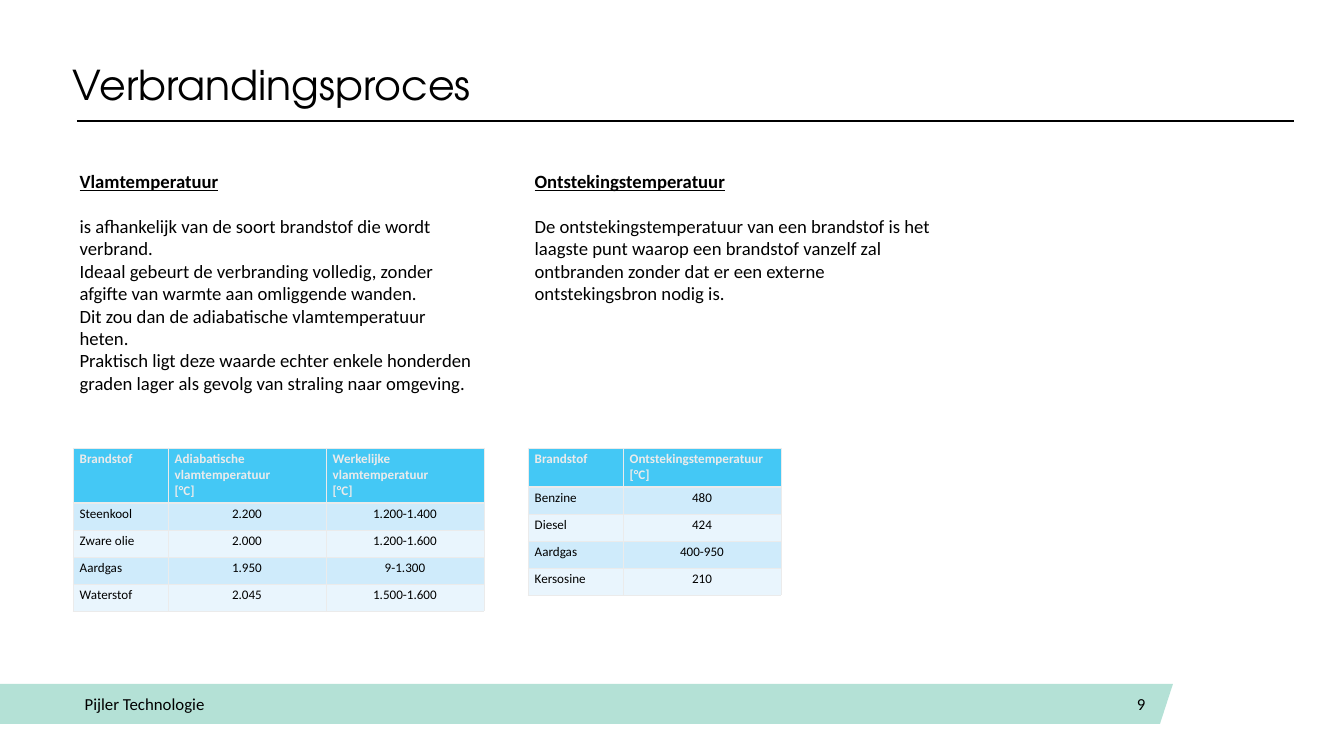
from lxml import etree
from pptx import Presentation
from pptx import util as u
from pptx.dml import color
from pptx.enum import shapes, text
from pptx.oxml import ns

PX = 914400 / 67.2
BLACK, PALE, MINT, BLUE = "000000", "EBEBEB", "B4E1D6", "44C8F5"
BANDS = ["CFEBFB", "E9F5FD"]
LEFT, CENTER, RIGHT = text.PP_ALIGN.LEFT, text.PP_ALIGN.CENTER, text.PP_ALIGN.RIGHT

FLAME_TEXT = [
    "Vlamtemperatuur",
    "is afhankelijk van de soort brandstof die wordt verbrand.",
    "Ideaal gebeurt de verbranding volledig, zonder afgifte van warmte aan omliggende wanden.",
    "Dit zou dan de adiabatische vlamtemperatuur heten.",
    "Praktisch ligt deze waarde echter enkele honderden graden lager als gevolg van straling naar omgeving.",
]
FLAME_ROWS = [
    ["Brandstof", "Adiabatische\nvlamtemperatuur\n[°C]", "Werkelijke\nvlamtemperatuur\n[°C]"],
    ["Steenkool", "2.200", "1.200-1.400"],
    ["Zware olie", "2.000", "1.200-1.600"],
    ["Aardgas", "1.950", "9-1.300"],
    ["Waterstof", "2.045", "1.500-1.600"],
]
IGNITION_TEXT = [
    "Ontstekingstemperatuur",
    "De ontstekingstemperatuur van een brandstof is het laagste punt waarop een brandstof "
    "vanzelf zal ontbranden zonder dat er een externe ontstekingsbron nodig is.",
]
IGNITION_ROWS = [
    ["Brandstof", "Ontstekingstemperatuur\n[°C]"],
    ["Benzine", "480"],
    ["Diesel", "424"],
    ["Aardgas", "400-950"],
    ["Kersosine", "210"],
]


def px(length):
    return u.Emu(round(length * PX))


def paint(target, hex_color):
    target.solid()
    target.fore_color.rgb = color.RGBColor.from_string(hex_color)


def style(paragraph, size, hex_color=BLACK, name="Calibri", bold=False, underline=False, align=LEFT):
    paragraph.alignment = align
    for run in paragraph.runs:
        run.font.name = name
        run.font.size = u.Pt(size)
        run.font.bold = bold
        run.font.underline = underline
        paint(run.font.fill, hex_color)


def add_text(slide, x, y, w, h, content):
    frame = slide.shapes.add_textbox(px(x), px(y), px(w), px(h)).text_frame
    frame.word_wrap = True
    frame.text = content
    return frame


def add_header(slide, x, y, w):
    title = add_text(slide, x, y, w, 46, "Verbrandingsproces")
    title.margin_left = title.margin_right = title.margin_top = title.margin_bottom = 0
    title.paragraphs[0].line_spacing = 0.9
    style(title.paragraphs[0], 44, name="TeX Gyre Adventor")
    rule = slide.shapes.add_connector(
        shapes.MSO_CONNECTOR.STRAIGHT, px(x + 4), px(y + 56), px(x + w + 3), px(y + 56))
    paint(rule.line.fill, BLACK)
    rule.line.width = u.Pt(2.25)
    etree.SubElement(rule._element.spPr, ns.qn("a:effectLst"))


def add_footer(slide, x, y, w, h):
    outline = slide.shapes.build_freeform(x, y, scale=PX)
    outline.add_line_segments([(x + w, y), (x + w - 13, y + h), (x, y + h)])
    band = outline.convert_to_shape()
    band.shadow.inherit = False
    paint(band.fill, MINT)
    band.line.fill.background()
    for offset, width, content, align in [
        (79, 302, "Pijler Technologie", LEFT),
        (876, 277, "9", RIGHT),
    ]:
        label = add_text(slide, x + offset, y, width, h, content)
        label.vertical_anchor = text.MSO_ANCHOR.MIDDLE
        label.paragraphs[0].space_after = u.Pt(6)
        style(label.paragraphs[0], 18, align=align)


def add_borders(cell, bottom_width):
    properties = cell._tc.get_or_add_tcPr()
    for side, width in [("L", 1), ("R", 1), ("T", 1), ("B", bottom_width)]:
        edge = etree.SubElement(properties, ns.qn(f"a:ln{side}"), w=str(u.Pt(width)))
        fill = etree.SubElement(edge, ns.qn("a:solidFill"))
        etree.SubElement(fill, ns.qn("a:srgbClr"), val=PALE)


def add_fuel_table(slide, x, y, rows, header_height):
    widths = [95] + [158] * (len(rows[0]) - 1)
    heights = [header_height] + [27] * (len(rows) - 1)
    table = slide.shapes.add_table(
        len(rows), len(widths), px(x), px(y), px(sum(widths)), px(sum(heights))).table
    for column, width in zip(table.columns, widths):
        column.width = px(width)
    for r, (values, height) in enumerate(zip(rows, heights)):
        table.rows[r].height = px(height)
        is_header = r == 0
        for c, value in enumerate(values):
            cell = table.cell(r, c)
            cell.text_frame.text = value
            add_borders(cell, 3 if is_header else 1)
            paint(cell.fill, BLUE if is_header else BANDS[(r - 1) % 2])
            for paragraph in cell.text_frame.paragraphs:
                style(paragraph, 14, PALE if is_header else BLACK, bold=is_header,
                      align=LEFT if is_header or c == 0 else CENTER)


def add_topic(slide, x, y, w, h, paragraphs, rows, header_height):
    body = add_text(slide, x, y, w, h, "\n".join(paragraphs))
    body.margin_top = px(31)
    for i, paragraph in enumerate(body.paragraphs):
        style(paragraph, 20, bold=i == 0, underline=i == 0)
    body.paragraphs[0].space_after = u.Pt(24)
    add_fuel_table(slide, x, y + 309, rows, header_height)


def main():
    deck = Presentation()
    deck.slide_width, deck.slide_height = px(1344), px(756)
    slide = deck.slides.add_slide(deck.slide_layouts[6])
    add_footer(slide, -1, 684, 1174, 40)
    add_header(slide, 73, 65, 1218)
    add_topic(slide, 73, 139, 412, 519, FLAME_TEXT, FLAME_ROWS, 55)
    add_topic(slide, 528, 139, 412, 519, IGNITION_TEXT, IGNITION_ROWS, 39)
    deck.save("out.pptx")


if __name__ == "__main__":
    main()
